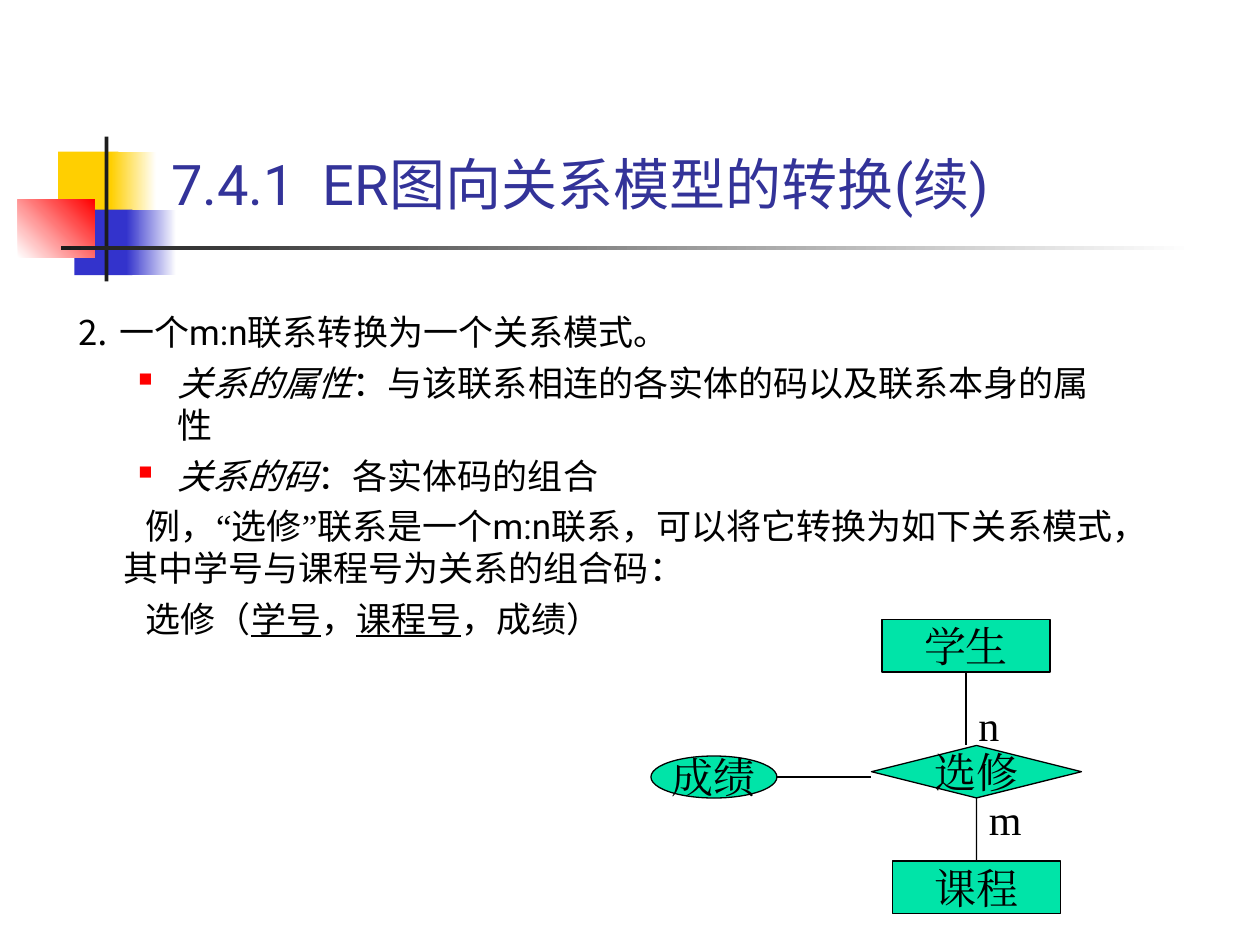
from dataclasses import dataclass

from lxml.etree import SubElement
from pptx import Presentation
from pptx.dml.color import RGBColor
from pptx.enum.shapes import MSO_CONNECTOR, MSO_SHAPE as Shape
from pptx.enum.text import MSO_ANCHOR as Anchor, MSO_AUTO_SIZE as AutoSize, PP_ALIGN as Align
from pptx.oxml.ns import qn
from pptx.util import Inches, Pt


@dataclass(frozen=True)
class Theme:
    """Colours, fonts and type sizes of the slide."""
    ink: str = "000000"
    title: str = "333399"
    bullet: str = "FF0000"
    node: str = "00E4A8"
    white: str = "FFFFFF"
    yellow: str = "FFCF01"
    blue: str = "3333CC"
    red: str = "FF0000"
    bar: str = "1C1C1C"
    sans: str = "Roboto"
    serif: str = "Times New Roman"
    title_size: int = 32
    body_size: int = 20
    node_size: int = 24
    line: float = 0.75


@dataclass(frozen=True)
class Box:
    """An area in inches, divided into columns and rows."""
    x: float
    y: float
    w: float
    h: float
    cols: int
    rows: int

    def point(self, col, row):
        """Return the position of a grid point."""
        return Inches(self.x + self.w * col / self.cols), Inches(self.y + self.h * row / self.rows)

    def cells(self, col, row, cols, rows):
        """Return left, top, width and height of a block of cells."""
        size = Inches(self.w * cols / self.cols), Inches(self.h * rows / self.rows)
        return *self.point(col, row), *size

    def inner(self, col, row, cols, rows, grid):
        """Return a block of cells as a box with its own grid."""
        return Box(*(v.inches for v in self.cells(col, row, cols, rows)), *grid)


T = Theme()
SLIDE = Box(0, 0, 10, 7.5, 120, 90)


def rgb(color):
    """Turn a hex string into a colour."""
    return RGBColor.from_string(color)


def add_run(p, text, size, color=T.ink, font=T.sans, italic=None, underline=None):
    """Append a formatted run, with one font for Latin and Chinese."""
    r = p.add_run()
    r.text = text
    f = r.font
    f.size, f.name, f.italic, f.underline = Pt(size), font, italic, underline
    f.color.rgb = rgb(color)
    SubElement(r._r.get_or_add_rPr(), qn("a:ea")).set("typeface", font)


def add_block(s, kind, place, fill, fade=None, angle=0):
    """Add a shape with a solid fill, or one fading to a second colour."""
    sp = s.shapes.add_shape(kind, *place)
    sp.shadow.inherit = False
    sp.line.fill.background()
    if fade is None:
        sp.fill.solid()
        sp.fill.fore_color.rgb = rgb(fill)
    else:
        sp.fill.gradient()
        sp.fill.gradient_angle = angle
        for stop, position, color in zip(sp.fill.gradient_stops, (0, 1), (fill, fade)):
            stop.position, stop.color.rgb = position, rgb(color)
    return sp


def draw_ornament(s, box):
    """Draw the coloured squares and the two bars beside the title."""
    blocks = [
        ((32, 12, 48, 52), T.yellow),
        ((74, 12, 36, 52), T.yellow, T.white),
        ((45, 58, 46, 52), T.blue),
        ((86, 58, 40, 52), T.blue, T.white),
        ((0, 50, 61, 46), T.white, T.red, 45),
        ((69, 0, 3, 115), T.bar),
        ((34, 87, 900, 3), T.bar, T.white),
    ]
    for place, *colors in blocks:
        add_block(s, Shape.RECTANGLE, box.cells(*place), *colors)


def write_title(s, place):
    """Place and fill the title above the ornament."""
    sp = s.shapes.title
    sp.left, sp.top, sp.width, sp.height = place
    sp.element.getparent().append(sp.element)
    tf = sp.text_frame
    tf.auto_size, tf.vertical_anchor = AutoSize.NONE, Anchor.BOTTOM
    p = tf.paragraphs[0]
    p.alignment = Align.LEFT
    add_run(p, "7.4.1  ER图向关系模型的转换(续)", T.title_size, T.title)


def add_bullet(p):
    """Give a paragraph a small square bullet."""
    pPr = p._p.get_or_add_pPr()
    color = SubElement(pPr, qn("a:buClr"))
    SubElement(color, qn("a:srgbClr")).set("val", T.bullet)
    SubElement(pPr, qn("a:buSzPct")).set("val", "55000")
    SubElement(pPr, qn("a:buChar")).set("char", "■")


def write_body(s, place):
    """Write the numbered rule, its bullets and the example."""
    heading, bullet, example = (0.38, -0.38), (0.81, -0.31), (0.38, 0.18)
    italic, under, serif = {"italic": True}, {"underline": True}, {"font": T.serif}
    paragraphs = [
        (heading, [("⒉ 一个m:n联系转换为一个关系模式。", {})]),
        (bullet, [("关系的属性", italic), ("：与该联系相连的各实体的码以及联系本身的属性", {})]),
        (bullet, [("关系的码", italic), ("：各实体码的组合", {})]),
        (example, [("例，", {}), ("“", serif), ("选修", {}), ("”", serif),
                   ("联系是一个m:n联系，可以将它转换为如下关系模式，其中学号与课程号为关系的组合码：", {})]),
        (example, [("选修（", {}), ("学号", under), ("，", {}), ("课程号", under), ("，成绩）", {})]),
    ]
    tf = s.shapes.add_textbox(*place).text_frame
    tf.word_wrap = True
    for i, (indents, runs) in enumerate(paragraphs):
        p = tf.add_paragraph() if i else tf.paragraphs[0]
        p.space_before = Pt(5)
        pPr = p._p.get_or_add_pPr()
        for name, value in zip(("marL", "indent"), indents):
            pPr.set(name, str(Inches(value)))
        if indents is bullet:
            add_bullet(p)
        for text, style in runs:
            add_run(p, text, T.body_size, **style)


def add_node(s, kind, place, text):
    """Add an outlined diagram node with a centred name."""
    sp = add_block(s, kind, place, T.node)
    sp.line.color.rgb, sp.line.width = rgb(T.ink), Pt(T.line)
    tf = sp.text_frame
    tf.word_wrap, tf.vertical_anchor = False, Anchor.MIDDLE
    p = tf.paragraphs[0]
    p.alignment = Align.CENTER
    add_run(p, text, T.node_size, font=T.serif)
    return sp


def add_link(s, start, end):
    """Add a thin straight connector."""
    c = s.shapes.add_connector(MSO_CONNECTOR.STRAIGHT, *start, *end)
    c.line.color.rgb, c.line.width = rgb(T.ink), Pt(T.line)
    SubElement(c.element.spPr, qn("a:effectLst"))
    return c


def draw_diagram(s, box):
    """Draw the entity-relationship diagram."""
    student = add_node(s, Shape.RECTANGLE, box.cells(22, 0, 16, 5), "学生")
    course = add_node(s, Shape.RECTANGLE, box.cells(23, 23, 16, 5), "课程")
    elective = add_node(s, Shape.DIAMOND, box.cells(21, 12, 20, 5), "选修")
    add_link(s, box.point(30, 5), box.point(30, 12)).begin_connect(student, 2)
    link = add_link(s, box.point(31, 17), box.point(31, 23))
    link.begin_connect(elective, 2)
    link.end_connect(course, 0)
    add_node(s, Shape.OVAL, box.cells(0, 13, 12, 4), "成绩")
    add_link(s, box.point(12, 15), box.point(21, 15))
    for text, col, row in (("n", 30, 7), ("m", 31, 16)):
        tf = s.shapes.add_textbox(*box.cells(col, row, 5, 6)).text_frame
        tf.word_wrap, tf.auto_size = True, AutoSize.SHAPE_TO_FIT_TEXT
        tf.paragraphs[0].space_before = Pt(15)
        add_run(tf.paragraphs[0], text, T.node_size, font=T.serif)


def main():
    """Build and save the slide."""
    prs = Presentation()
    prs.slide_width, prs.slide_height = Inches(SLIDE.w), Inches(SLIDE.h)
    s = prs.slides.add_slide(prs.slide_layouts[5])
    draw_ornament(s, SLIDE.inner(1.7, 13, 112, 13.8, (934, 115)))
    write_title(s, SLIDE.cells(15.1, 9.8, 102.2, 11.4))
    write_body(s, SLIDE.cells(6, 29, 102, 54))
    draw_diagram(s, SLIDE.inner(62, 59, 41, 28, (41, 28)))
    prs.save("out.pptx")


if __name__ == "__main__":
    main()
